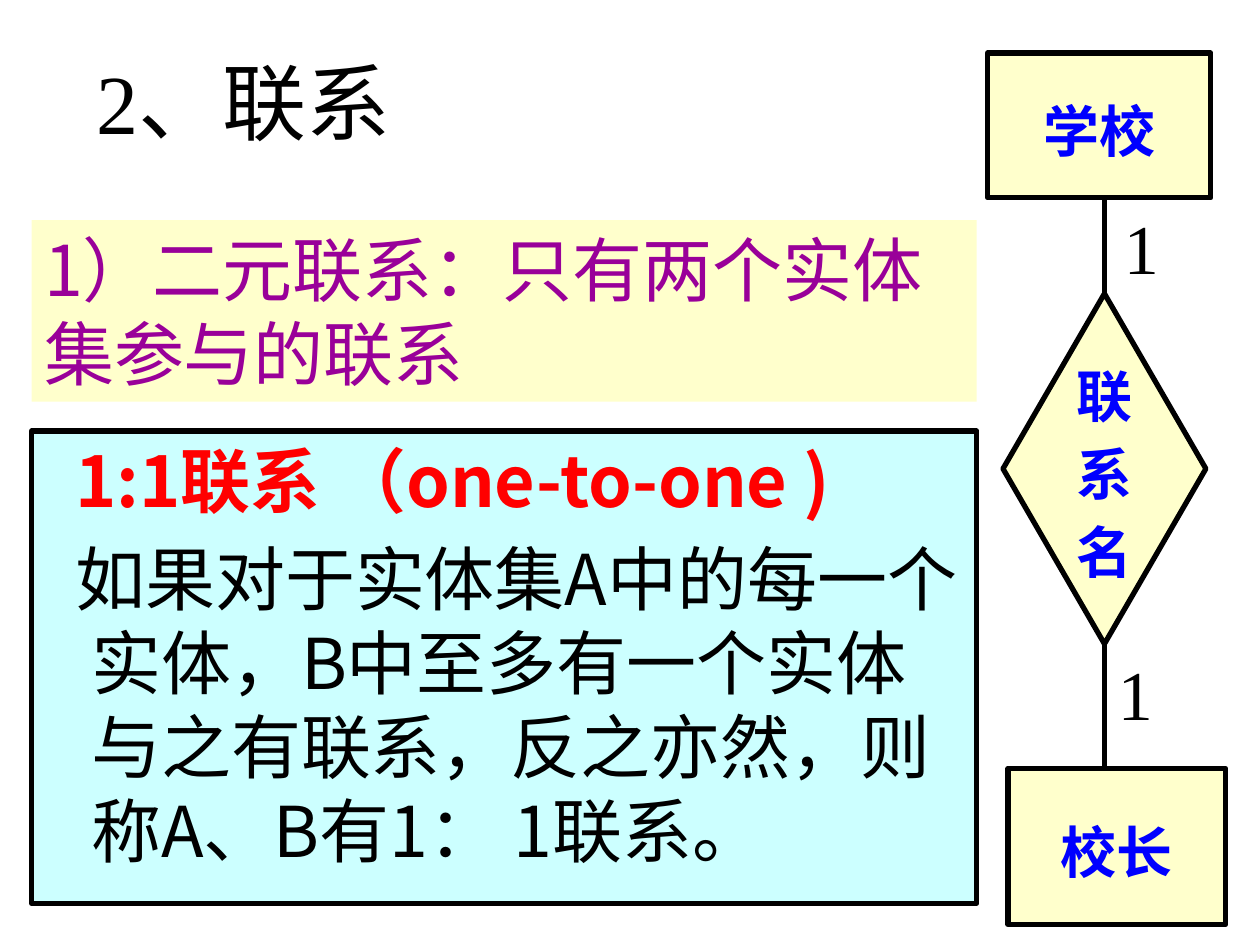
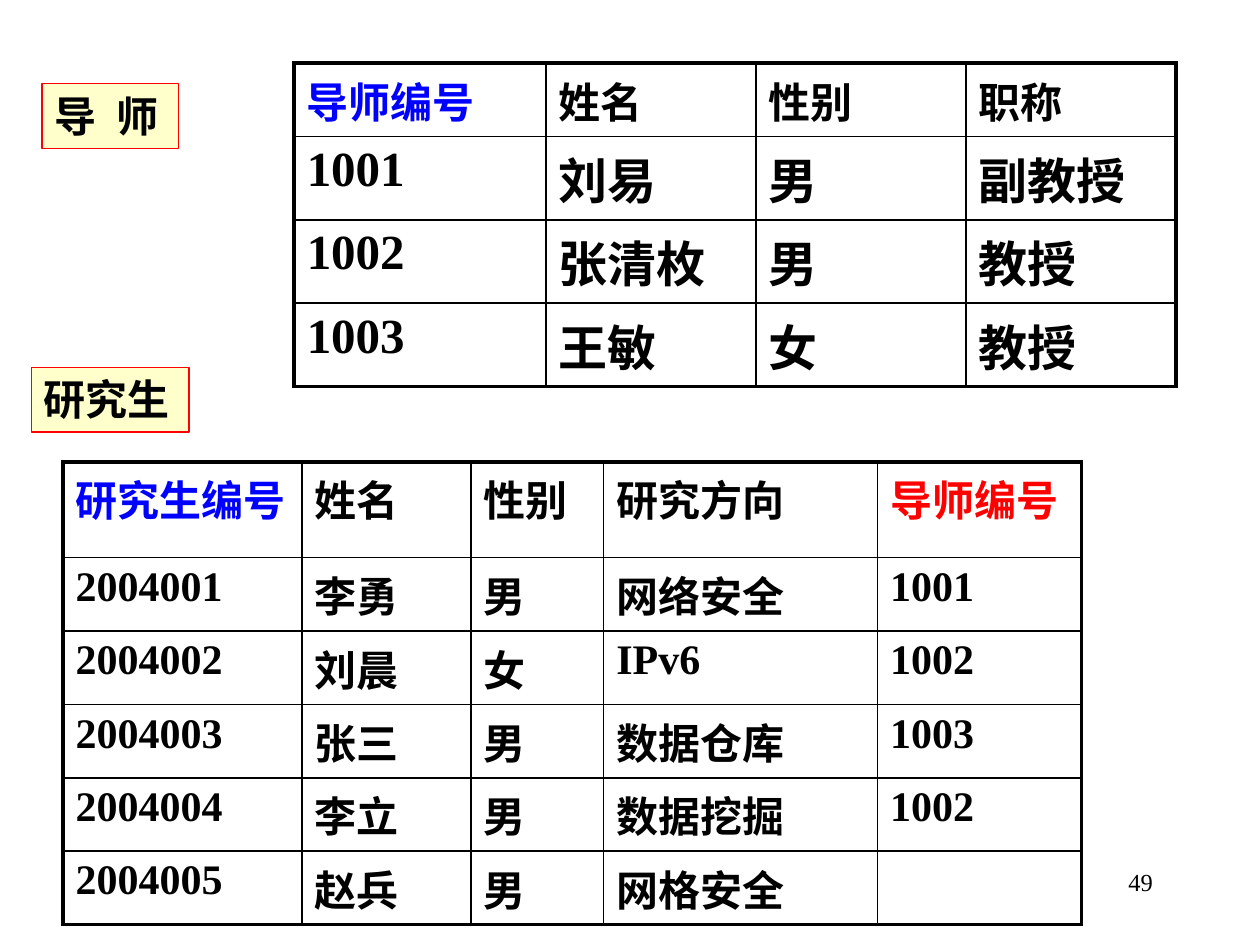
from dataclasses import dataclass

from lxml import etree
from pptx import Presentation
from pptx import util as u
from pptx.dml.color import RGBColor
from pptx.enum import shapes, text
from pptx.oxml.ns import qn

BLACK = RGBColor(0x00, 0x00, 0x00)
BLUE = RGBColor(0x00, 0x00, 0xFF)
RED = RGBColor(0xFF, 0x00, 0x00)
PURPLE = RGBColor(0x99, 0x00, 0x99)
CREAM = RGBColor(0xFF, 0xFF, 0xCC)
CYAN = RGBColor(0xCC, 0xFF, 0xFF)

SERIF = "Times New Roman"
SANS = "Noto Sans CJK SC"

RECT = shapes.MSO_SHAPE.RECTANGLE
DIAMOND = shapes.MSO_SHAPE.DIAMOND
LEFT, CENTER, RIGHT = text.PP_ALIGN.LEFT, text.PP_ALIGN.CENTER, text.PP_ALIGN.RIGHT
TOP, MIDDLE = text.MSO_ANCHOR.TOP, text.MSO_ANCHOR.MIDDLE


@dataclass(frozen=True)
class Box:
    """A text area; all lengths are in centimetres, line widths in points."""
    left: float
    top: float
    width: float
    height: float
    kind: shapes.MSO_SHAPE | None = None
    fill: RGBColor | None = None
    line: RGBColor | None = None
    line_width: float = 0
    anchor: text.MSO_ANCHOR = TOP
    wrap: bool = True
    margin_top: float = 0.13


@dataclass(frozen=True)
class Grid:
    """A table; sizes are in centimetres, header_colors overrides black."""
    left: float
    top: float
    columns: list[float]
    header_height: float
    row_height: float
    body_size: int
    header_colors: dict[int, RGBColor]
    rows: list[list[str]]


def add_text(tf, content: str, *, size: float, color: RGBColor = BLACK,
             font: str = SERIF, bold: bool = False, align=LEFT,
             tracking: float = 0, margin: float = 0, hang: float = 0):
    """Append a paragraph, reusing the empty first one of the frame."""
    first = not tf.paragraphs[0].runs
    p = tf.paragraphs[0] if first else tf.add_paragraph()
    p.alignment = align
    if not first:
        p.space_before = u.Pt(size * 0.2)
    if margin:
        pPr = p._p.get_or_add_pPr()
        pPr.set("marL", str(u.Cm(margin)))
        pPr.set("indent", str(-u.Cm(hang)))
    r = p.add_run()
    r.text = content
    r.font.size = u.Pt(size)
    r.font.bold = bold
    r.font.color.rgb = color
    r.font.name = font
    rPr = r._r.get_or_add_rPr()
    etree.SubElement(rPr, qn("a:ea")).set("typeface", SANS)
    if tracking:
        rPr.set("spc", str(int(tracking * 100)))


def add_box(s, box: Box, *lines: str, **fmt):
    """Draw a box with one paragraph for each line; return the shape."""
    area = [u.Cm(v) for v in (box.left, box.top, box.width, box.height)]
    if box.kind is None:
        sp = s.shapes.add_textbox(*area)
    else:
        sp = s.shapes.add_shape(box.kind, *area)
        sp.shadow.inherit = False
        sp.fill.solid()
        sp.fill.fore_color.rgb = box.fill
        if box.line is None:
            sp.line.fill.background()
        else:
            sp.line.color.rgb = box.line
            sp.line.width = u.Pt(box.line_width)
    tf = sp.text_frame
    tf.word_wrap = box.wrap
    tf.vertical_anchor = box.anchor
    tf.margin_top = u.Cm(box.margin_top)
    for content in lines:
        add_text(tf, content, **fmt)
    return sp


def add_link(s, diamond, site: int, end_y: int) -> None:
    """Draw a vertical line from a corner of the diamond to end_y."""
    x = diamond.left + diamond.width // 2
    cx = s.shapes.add_connector(shapes.MSO_CONNECTOR.STRAIGHT, x, diamond.top, x, end_y)
    cx.begin_connect(diamond, site)
    cx.line.color.rgb = BLACK
    cx.line.width = u.Pt(3)
    etree.SubElement(cx._element.spPr, qn("a:effectLst"))


def set_borders(cell, **widths: float) -> None:
    """Set black borders, with widths in points keyed by L, R, T and B."""
    tcPr = cell._tc.get_or_add_tcPr()
    for index, side in enumerate("LRTB"):
        ln = etree.Element(qn(f"a:ln{side}"), w=str(u.Pt(widths[side])))
        fill = etree.SubElement(ln, qn("a:solidFill"))
        etree.SubElement(fill, qn("a:srgbClr"), val=str(BLACK))
        tcPr.insert(index, ln)


def add_grid(s, grid: Grid) -> None:
    n_rows, n_cols = len(grid.rows), len(grid.columns)
    heights = [grid.header_height] + [grid.row_height] * (n_rows - 1)
    table = s.shapes.add_table(
        n_rows, n_cols, u.Cm(grid.left), u.Cm(grid.top),
        u.Cm(sum(grid.columns)), u.Cm(sum(heights))).table
    table.first_row = table.horz_banding = False
    for column, width in zip(table.columns, grid.columns):
        column.width = u.Cm(width)
    for i, (row, height) in enumerate(zip(table.rows, heights)):
        row.height = u.Cm(height)
        for j, cell in enumerate(row.cells):
            cell.fill.background()
            edges = {"L": j == 0, "R": j == n_cols - 1,
                     "T": i == 0, "B": i == n_rows - 1}
            set_borders(cell, **{k: 2.25 if outer else 1 for k, outer in edges.items()})
            if grid.rows[i][j]:
                header = i == 0
                add_text(cell.text_frame, grid.rows[i][j], bold=True,
                         size=24 if header else grid.body_size,
                         color=grid.header_colors.get(j, BLACK) if header else BLACK)


def node(left: float, top: float, width: float, height: float, kind=RECT) -> Box:
    return Box(left, top, width, height, kind, CREAM, BLACK, 3, MIDDLE,
               wrap=False, margin_top=0.3)


def build_relationship_slide(prs) -> None:
    s = prs.slides.add_slide(prs.slide_layouts[6])
    add_box(s, Box(1.7, 0.89, 9.09, 2.29, anchor=MIDDLE), "2、联系", size=48)

    panel = Box(0.64, 8.69, 19.05, 9.52, RECT, CYAN, BLACK, 3)
    body = dict(size=40, font=SANS, margin=0.95, hang=0.32)
    sp = add_box(s, panel, "1:1联系 （one-to-one )", color=RED, bold=True, **body)
    add_text(sp.text_frame, "如果对于实体集A中的每一个实体，B中至多有一个实体与之有联系，"
             "反之亦然，则称A、B有1： 1联系。", **body)

    label = dict(size=32, color=BLUE, bold=True, align=CENTER)
    school = add_box(s, node(19.91, 1.07, 4.5, 2.92), "学校", **label)
    head = add_box(s, node(20.32, 15.49, 4.39, 3.15), "校长", **label)
    relation = add_box(s, node(20.22, 5.92, 4.09, 7.06, DIAMOND), *"联系名", **label)
    add_link(s, relation, 0, school.top + school.height)
    add_link(s, relation, 2, head.top)
    for left, top in ((22.4, 3.99), (22.28, 12.98)):
        add_box(s, Box(left, top, 1.22, 1.96, wrap=False), "1", size=40, align=CENTER)

    add_box(s, Box(0.64, 4.44, 19.05, 3.66, RECT, CREAM),
            "1）二元联系：只有两个实体集参与的联系",
            size=40, color=PURPLE, font=SANS)


def build_tables_slide(prs) -> None:
    s = prs.slides.add_slide(prs.slide_layouts[6])
    add_box(s, Box(18.21, 17.35, 5.28, 1.27), "49", size=14, align=RIGHT)
    add_grid(s, Grid(5.93, 1.27, [5.08, 4.23, 4.23, 4.24], 1.48, 1.68, 28, {0: BLUE}, [
        ["导师编号", "姓名", "性别", "职称"],
        ["1001", "刘易", "男", "副教授"],
        ["1002", "张清枚", "男", "教授"],
        ["1003", "王敏", "女", "教授"],
    ]))
    add_grid(s, Grid(1.27, 9.31, [4.82, 3.4, 2.68, 5.52, 4.11], 1.93, 1.48, 24,
                     {0: BLUE, 4: RED}, [
        ["研究生编号", "姓名", "性别", "研究方向", "导师编号"],
        ["2004001", "李勇", "男", "网络安全", "1001"],
        ["2004002", "刘晨", "女", "IPv6", "1002"],
        ["2004003", "张三", "男", "数据仓库", "1003"],
        ["2004004", "李立", "男", "数据挖掘", "1002"],
        ["2004005", "赵兵", "男", "网格安全", ""],
    ]))
    for name, left, top, width, tracking in (("导 师", 0.85, 1.69, 2.75, 3),
                                             ("研究生", 0.63, 7.41, 3.18, 0)):
        add_box(s, Box(left, top, width, 1.3, RECT, CREAM, RED, 0.75), name,
                size=24, bold=True, tracking=tracking)


def main() -> None:
    prs = Presentation()
    prs.slide_width, prs.slide_height = u.Cm(25.4), u.Cm(19.05)
    build_relationship_slide(prs)
    build_tables_slide(prs)
    prs.save("out.pptx")


if __name__ == "__main__":
    main()
